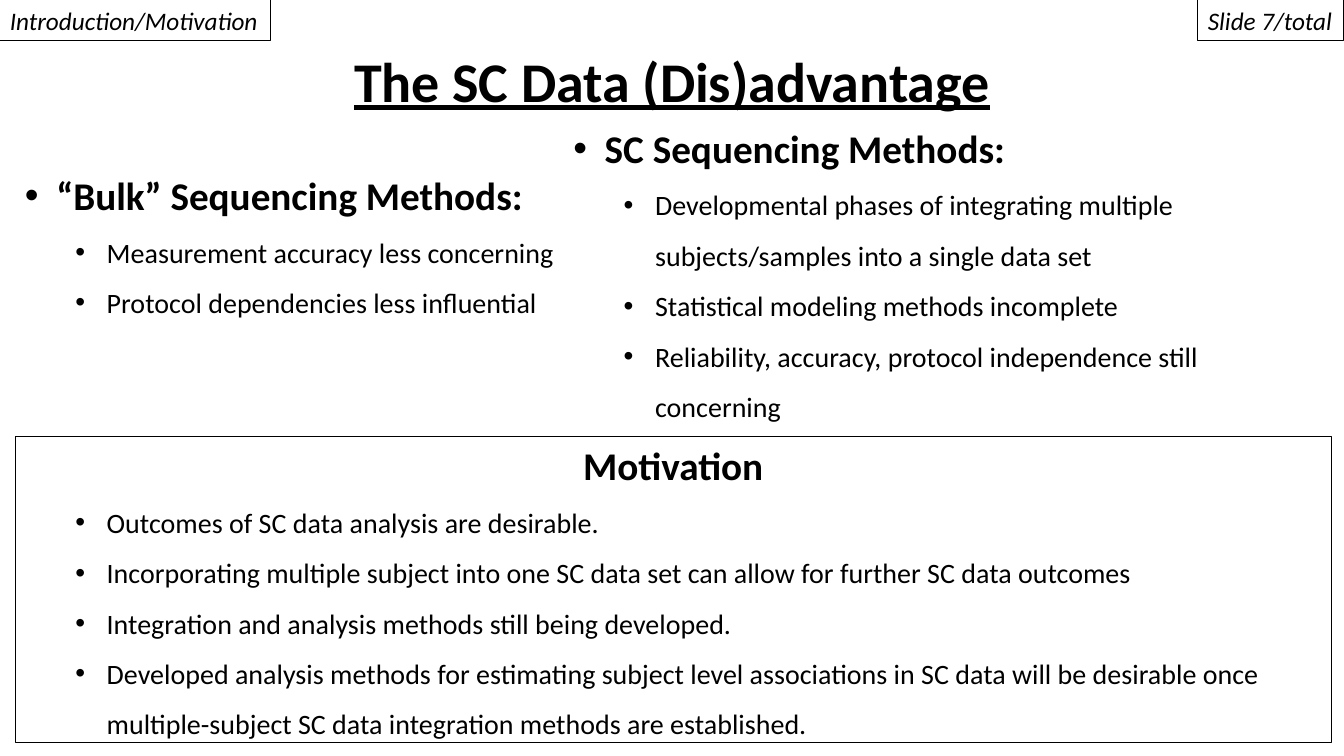
from lxml import etree
from pptx import Presentation
from pptx.dml.color import RGBColor
from pptx.enum import shapes, text
from pptx.oxml import ns
from pptx.util import Cm, Pt

WIDE, HIGH = 33.87, 19.05
INK = "000000"

# Corner tags: text, left, width
TAGS = [
    ("Introduction/Motivation", 0, 6.83),
    ("Slide 7/total", 30.19, 3.68),
]
TITLE = "The SC Data (Dis)advantage"

# Columns: head, points, (left, top, width, height)
COLS = [
    ("“Bulk” Sequencing Methods:", [
        "Measurement accuracy less concerning",
        "Protocol dependencies less influential",
    ], (0.38, 4.19, 16.05, 5.16)),
    ("SC Sequencing Methods:", [
        "Developmental phases of integrating multiple subjects/samples into a single data set",
        "Statistical modeling methods incomplete",
        "Reliability, accuracy, protocol independence still concerning",
    ], (14.2, 3, 19.38, 10.29)),
]
GOAL = ("Motivation", [
    "Outcomes of SC data analysis are desirable.",
    "Incorporating multiple subject into one SC data set can allow for further SC data outcomes",
    "Integration and analysis methods still being developed.",
    "Developed analysis methods for estimating subject level associations in SC data "
    "will be desirable once multiple-subject SC data integration methods are established.",
], (0.38, 11, 33.17, 7.72))


def color(code):
    return RGBColor.from_string(code)


def make_box(parent, area, frame=False, wrap=True):
    """Add a text area, with a thin outline if frame is set."""
    spot = [Cm(n) for n in area]
    if frame:
        box = parent.add_shape(shapes.MSO_SHAPE.RECTANGLE, *spot)
        box.shadow.inherit = False
        box.fill.background()
        box.line.color.rgb = color(INK)
        box.line.width = Pt(0.75)
    else:
        box = parent.add_textbox(*spot)
    body = box.text_frame
    body.word_wrap = wrap
    body.vertical_anchor = text.MSO_ANCHOR.TOP
    return body


def write(body, words, size=20, align="LEFT", indent=None, level=0, space=None, **style):
    """Fill the first empty paragraph or append one; indent in cm adds a bullet."""
    para = body.paragraphs[0]
    if para.runs:
        para = body.add_paragraph()
    para.alignment = text.PP_ALIGN[align]
    para.level = level
    if space:
        para.line_spacing = space
    if indent:
        props = para._p.get_or_add_pPr()
        props.set("marL", str(Cm(indent)))
        props.set("indent", str(-Cm(0.79)))
        etree.SubElement(props, ns.qn("a:buFont")).set("typeface", "Arial")
        etree.SubElement(props, ns.qn("a:buChar")).set("char", "•")
    run = para.add_run()
    run.text = words
    font = run.font
    font.name, font.size = "Calibri", Pt(size)
    font.color.rgb = color(INK)
    for name, value in style.items():
        setattr(font, name, value)


def write_list(body, head, points, **style):
    write(body, head, size=28, bold=True, **style)
    for point in points:
        write(body, point, indent=2.06, level=1, space=1.5)


def main():
    deck = Presentation()
    deck.slide_width, deck.slide_height = Cm(WIDE), Cm(HIGH)
    slide = deck.slides.add_slide(deck.slide_layouts[6])

    for label, left, width in TAGS:
        tag = make_box(slide.shapes, (left, 0, width, 1.02), frame=True, wrap=False)
        write(tag, label, size=18, italic=True)

    title = make_box(slide.shapes, (6.1, 1.04, 21.67, 1.96))
    write(title, TITLE, size=40, align="CENTER", bold=True, underline=True)

    group = slide.shapes.add_group_shape()
    for head, points, area in COLS:
        write_list(make_box(group.shapes, area), head, points, indent=0.79)

    head, points, area = GOAL
    write_list(make_box(slide.shapes, area, frame=True), head, points, align="CENTER")

    deck.save("out.pptx")


if __name__ == "__main__":
    main()
